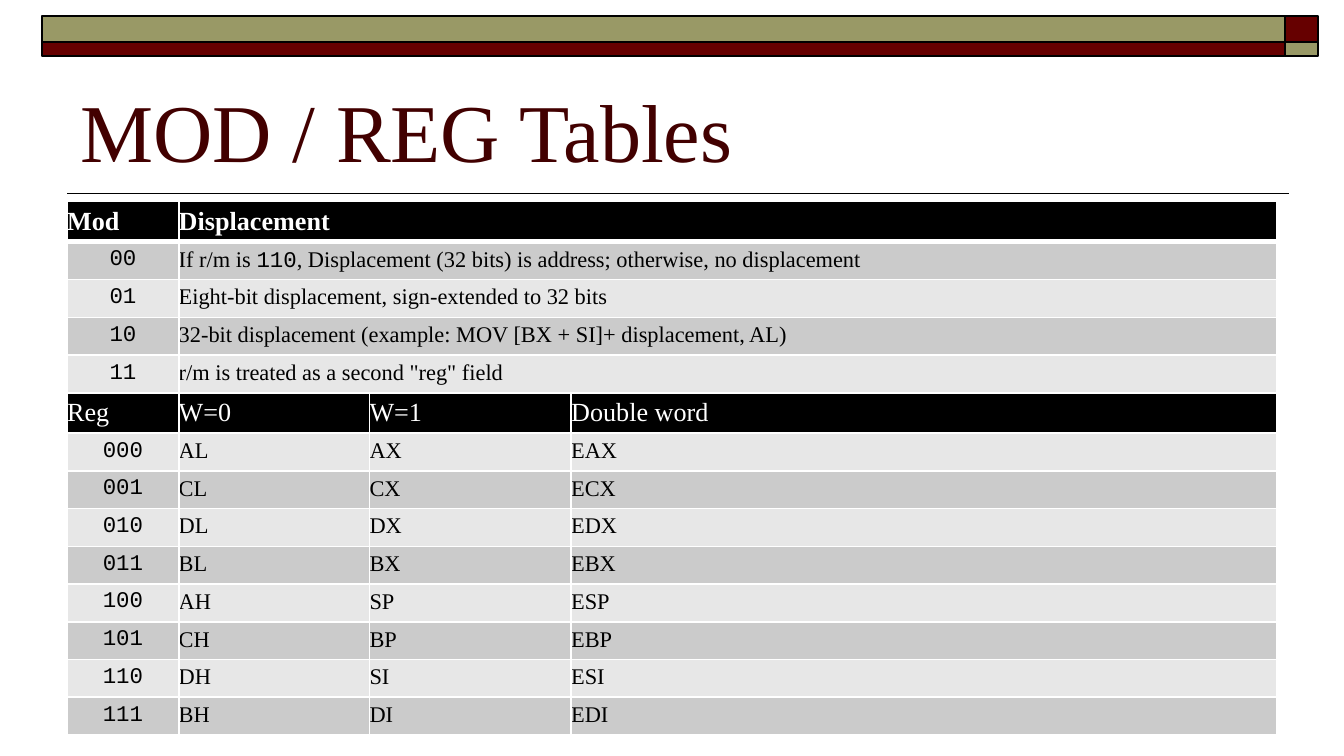
from lxml.etree import SubElement
from pptx import Presentation
from pptx.dml.color import RGBColor
from pptx.enum.shapes import MSO_CONNECTOR as Connector, MSO_SHAPE as Shape
from pptx.enum.text import MSO_ANCHOR as Anchor, PP_ALIGN as Align
from pptx.oxml.ns import qn
from pptx.util import Inches, Pt

COLORS = {
    "maroon": "660000", "olive": "999966", "title": "420000",
    "black": "000000", "white": "FFFFFF", "dark": "CBCBCB", "light": "E7E7E7",
}
SERIF, MONO = "Times New Roman", "Courier New"
WIDTH = 10
HEIGHT = WIDTH * 9 / 16
MARGIN = 0.05 * WIDTH
COLUMNS = [0.83, 1.42, 1.5, 5.25]
TABLE_HEIGHT, HEADER_HEIGHT = 3.97, 0.3

# Backticks set off code within a sentence
MOD_ROWS = [
    ("Mod", "Displacement"),
    ("00", "If r/m is `110`, Displacement (32 bits) is address; otherwise, no displacement"),
    ("01", "Eight-bit displacement, sign-extended to 32 bits"),
    ("10", "32-bit displacement (example: MOV [BX + SI]+ displacement, AL)"),
    ("11", 'r/m is treated as a second "reg" field'),
]
REGISTERS = ["AL AX", "CL CX", "DL DX", "BL BX", "AH SP", "CH BP", "DH SI", "BH DI"]


def color(name):
    return RGBColor.from_string(COLORS[name])


def register_rows():
    rows = [("Reg", "W=0", "W=1", "Double word")]
    for number, pair in enumerate(REGISTERS):
        byte, word = pair.split()
        rows.append((f"{number:03b}", byte, word, "E" + word))
    return rows


def style_run(run, font, size, ink, bold=False):
    run.font.name = font
    run.font.size = Pt(size)
    run.font.bold = bold
    run.font.color.rgb = color(ink)


def add_band(slide, left, top, width, height, fill):
    band = slide.shapes.add_shape(
        Shape.RECTANGLE, Inches(left), Inches(top), Inches(width), Inches(height))
    band.shadow.inherit = False
    band.fill.solid()
    band.fill.fore_color.rgb = color(fill)
    band.line.color.rgb = color("black")
    band.line.width = Pt(1)


def add_rule(slide, left, right, y):
    rule = slide.shapes.add_connector(
        Connector.STRAIGHT, Inches(left), Inches(y), Inches(right), Inches(y))
    rule.line.color.rgb = color("black")
    rule.line.width = Pt(1)
    SubElement(rule._element.spPr, qn("a:effectLst"))


def add_title(slide, text):
    title = slide.shapes.title
    title.left, title.top = Inches(MARGIN), Inches(0.44)
    title.width, title.height = Inches(WIDTH - 2 * MARGIN), Inches(0.94)
    frame = title.text_frame
    frame.text = text
    frame.vertical_anchor = Anchor.BOTTOM
    frame.paragraphs[0].alignment = Align.LEFT
    style_run(frame.paragraphs[0].runs[0], SERIF, 44, "title")


def add_borders(cell, widths):
    properties = cell._tc.get_or_add_tcPr()
    for side, width in widths.items():
        border = SubElement(properties, qn(f"a:ln{side}"), w=str(Pt(width)))
        fill = SubElement(border, qn("a:solidFill"))
        SubElement(fill, qn("a:srgbClr"), val=COLORS["white"])


def fill_cell(cell, text, fill, font, size, ink, bold):
    cell.margin_left = cell.margin_right = 0
    cell.margin_top = cell.margin_bottom = Inches(0.04)
    cell.fill.solid()
    cell.fill.fore_color.rgb = color(fill)
    paragraph = cell.text_frame.paragraphs[0]
    paragraph.alignment = Align.CENTER if font == MONO else Align.LEFT
    for index, part in enumerate(text.split("`")):
        run = paragraph.add_run()
        run.text = part
        style_run(run, MONO if index % 2 else font, size, ink, bold)


def add_code_table(slide, rows, headers):
    body_height = TABLE_HEIGHT - len(headers) * HEADER_HEIGHT
    row_height = body_height / (len(rows) - len(headers))
    table = slide.shapes.add_table(
        len(rows), len(COLUMNS), Inches(MARGIN), Inches(1.5),
        Inches(sum(COLUMNS)), Inches(TABLE_HEIGHT)).table
    for column, width in zip(table.columns, COLUMNS):
        column.width = Inches(width)

    for r, texts in enumerate(rows):
        table.rows[r].height = Inches(HEADER_HEIGHT if r in headers else row_height)
        # The first header is set off by a thicker line
        widths = {"L": 1, "R": 1, "T": 3 if r == 1 else 1, "B": 3 if r == 0 else 1}
        for c in range(len(COLUMNS)):
            add_borders(table.cell(r, c), widths)
        if len(texts) < len(COLUMNS):
            table.cell(r, len(texts) - 1).merge(table.cell(r, len(COLUMNS) - 1))
        for c, text in enumerate(texts):
            if r in headers:
                look = ("black", SERIF, 14, "white", r == 0)
            else:
                stripe = "dark" if r % 2 else "light"
                look = (stripe, SERIF if c else MONO, 12, "black", False)
            fill_cell(table.cell(r, c), text, *look)


def main():
    deck = Presentation()
    deck.slide_width, deck.slide_height = Inches(WIDTH), Inches(HEIGHT)
    slide = deck.slides.add_slide(deck.slide_layouts[5])

    # Rule and two-tone band along the top
    add_rule(slide, MARGIN, 9.59, 1.44)
    for top, height, long_fill, end_fill in [
            (0.12, 0.19, "olive", "maroon"), (0.31, 0.11, "maroon", "olive")]:
        add_band(slide, 0.31, top, 9.25, height, long_fill)
        add_band(slide, 9.56, top, 0.25, height, end_fill)

    # Title and code table
    add_title(slide, "MOD / REG Tables")
    add_code_table(slide, MOD_ROWS + register_rows(), headers=(0, len(MOD_ROWS)))
    deck.save("out.pptx")


main()
